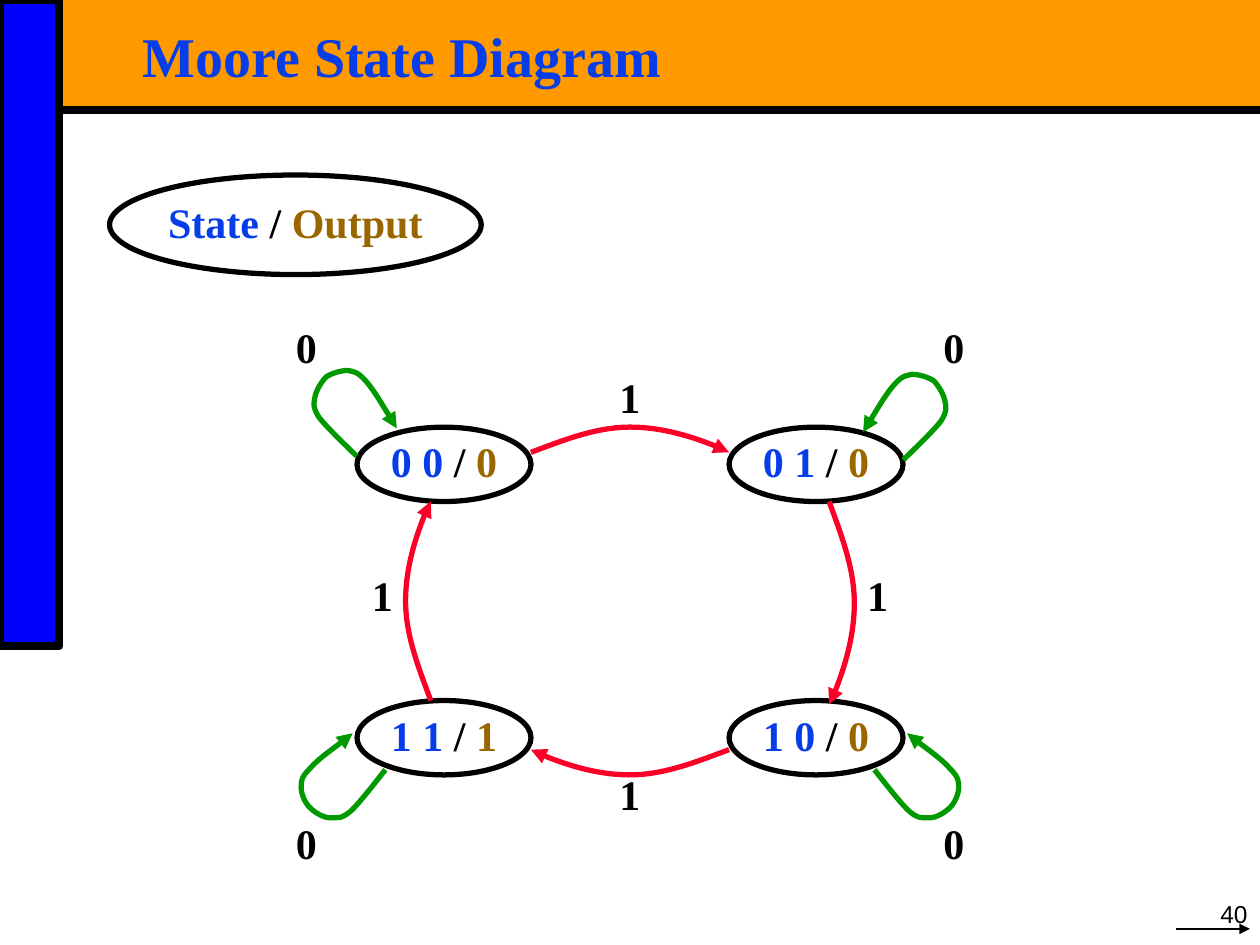
from lxml import etree
from pptx import Presentation
from pptx.dml.color import RGBColor
from pptx.enum.shapes import MSO_CONNECTOR, MSO_SHAPE
from pptx.enum.text import MSO_ANCHOR, PP_ALIGN
from pptx.oxml.ns import qn
from pptx.util import Pt

RECT, OVAL, STRAIGHT = MSO_SHAPE.RECTANGLE, MSO_SHAPE.OVAL, MSO_CONNECTOR.STRAIGHT
TOP, MIDDLE, BOTTOM = MSO_ANCHOR.TOP, MSO_ANCHOR.MIDDLE, MSO_ANCHOR.BOTTOM
LEFT, CENTER, RIGHT = PP_ALIGN.LEFT, PP_ALIGN.CENTER, PP_ALIGN.RIGHT

WIDTH, HEIGHT = 720, 540
SERIF, SANS = "Times New Roman", "Arial"
BLACK, BLUE, BROWN = "000000", "063DE8", "996600"
ORANGE, BAR_BLUE, GREEN, RED = "FF9900", "0000FF", "009900", "FC0128"

STATE_W, STATE_H = 99.4, 42.5
LABEL_W, LABEL_H = 28, 26
BULGE = 14.4
# Arc control points: share of the way along, share of the bulge
ARC = [(0, 0), (0.17, 0.5), (0.33, 1), (0.5, 1), (0.67, 1), (0.92, 0.36), (1, 0)]
# Left-hand loops, relative to the diagram; the right-hand ones mirror them
UPPER_LOOP = [(42.8, 73.6), (39.2, 70), (25.5, 57.1), (21.2, 51.3),
              (17.6, 45.6), (18.3, 43.4), (19, 39.8),
              (19.7, 36.2), (22.6, 31.2), (25.5, 28.3),
              (29.1, 26.1), (34.1, 24.7), (37.7, 24.7),
              (41.3, 25.4), (43.5, 25.4), (48.5, 31.2),
              (52.8, 36.2), (62.2, 52), (65.8, 57.8)]
LOWER_LOOP = [(59.3, 252.9), (55.7, 257.2), (44.2, 272.4), (39.2, 276.7),
              (34.1, 281), (32, 280.3), (27.6, 280.3),
              (24, 280.3), (19, 277.4), (16.1, 274.5),
              (13.2, 271.6), (11.1, 266.6), (11.1, 263),
              (11.1, 259.4), (11.1, 257.2), (16.1, 252.2),
              (21.2, 246.4), (35.6, 236.4), (40.6, 232)]


def rgb(color):
    return RGBColor.from_string(color)


def set_line(part, color, weight, arrow=False):
    part.line.color.rgb = rgb(color)
    part.line.width = Pt(weight)
    if arrow:
        etree.SubElement(part.line._get_or_add_ln(), qn("a:tailEnd"), type="triangle")


def write(part, runs, size=24, font=SERIF, bold=True, align=CENTER,
          anchor=MIDDLE, margins=(0, 0), spacing=0.9):
    frame = part.text_frame
    frame.word_wrap = True
    frame.vertical_anchor = anchor
    frame.margin_left = frame.margin_right = Pt(margins[0])
    frame.margin_top = frame.margin_bottom = Pt(margins[1])
    line = frame.paragraphs[0]
    line.alignment = align
    line.line_spacing = spacing
    for text, color in runs:
        run = line.add_run()
        run.text = text
        run.font.name, run.font.size, run.font.bold = font, Pt(size), bold
        run.font.color.rgb = rgb(color)


def add_text(slide, box, runs, **style):
    write(slide.shapes.add_textbox(*map(Pt, box)), runs, **style)


def add_plain_shape(slide, kind, box, fill=None):
    shape = slide.shapes.add_shape(kind, *map(Pt, box))
    shape.shadow.inherit = False
    if fill:
        shape.fill.solid()
        shape.fill.fore_color.rgb = rgb(fill)
    else:
        shape.fill.background()
    return shape


def add_straight(slide, start, end, weight, arrow=False):
    line = slide.shapes.add_connector(STRAIGHT, *map(Pt, (*start, *end)))
    set_line(line, BLACK, weight, arrow)
    etree.SubElement(line._element.spPr, qn("a:effectLst"))


def add_curve(slide, points, color):
    """Arrow along cubic curves: a start, then three points for each curve."""
    (x, y), *rest = [(Pt(px), Pt(py)) for px, py in points]
    builder = slide.shapes.build_freeform(x, y)
    builder.add_line_segments(rest, close=False)
    curve = builder.convert_to_shape()
    curve.shadow.inherit = False
    curve.fill.background()
    set_line(curve, color, 3, arrow=True)
    # Turn each three straight segments into one cubic curve
    outline = next(curve._element.iter(qn("a:moveTo"))).getparent()
    segments = outline.findall(qn("a:lnTo"))
    for i in range(0, len(segments), 3):
        cubic = etree.SubElement(outline, qn("a:cubicBezTo"))
        for segment in segments[i:i + 3]:
            cubic.append(segment[0])
            outline.remove(segment)


def add_state(slide, box, state, output):
    ellipse = add_plain_shape(slide, OVAL, box)
    set_line(ellipse, BLACK, 3)
    write(ellipse, [(state + " ", BLUE), ("/ ", BLACK), (output, BROWN)])


def add_transition(slide, start, end):
    """Arc that bulges to the left of its direction of travel."""
    dx, dy = end[0] - start[0], end[1] - start[1]
    length = (dx ** 2 + dy ** 2) ** 0.5
    out_x, out_y = BULGE * dy / length, -BULGE * dx / length
    points = [(start[0] + along * dx + rise * out_x,
               start[1] + along * dy + rise * out_y) for along, rise in ARC]
    add_curve(slide, points, RED)


def add_frame(slide, box):
    left, top, width, height = box
    # Title band, side bar and rule
    band = add_plain_shape(slide, RECT, (left + 34, top, width - 34, 60.5), ORANGE)
    band.line.fill.background()
    bar = add_plain_shape(slide, RECT, (left, top, 34, 369.4), BAR_BLUE)
    set_line(bar, BLACK, 4.5)
    add_straight(slide, (left + 34, top + 63), (left + width, top + 63), 4.5)
    # Title
    add_text(slide, (left + 76.5, top + 15, 623.5, 37.5), [("Moore State Diagram", BLUE)],
             size=32, align=LEFT, anchor=TOP, margins=(5, 2.5), spacing=0.87)
    # Page number over its arrow
    right, bottom = left + width, top + height
    add_text(slide, (right - 94.3, bottom - 28.8, 94.3, 23), [("40", BLACK)], size=14,
             font=SANS, bold=False, align=RIGHT, anchor=BOTTOM,
             margins=(7.2, 3.6), spacing=1)
    add_straight(slide, (right - 48, bottom - 9.2), (right - 5.8, bottom - 9.2),
                 0.75, arrow=True)


def add_diagram(slide, box):
    left, top, width, height = box

    def place(x, y):
        return left + x, top + y

    # States, clockwise from the upper left
    near, far, upper, lower = 43, width - 43 - STATE_W, 57.1, 213.3
    for x, y, state, output in [(near, upper, "0 0", "0"), (far, upper, "0 1", "0"),
                                (far, lower, "1 0", "0"), (near, lower, "1 1", "1")]:
        add_state(slide, (*place(x, y), STATE_W, STATE_H), state, output)

    # Transitions on input 1
    side = 85.2
    for start, end in [((near + STATE_W, 71.5), (far, 71.5)),
                       ((width - side, 99.6), (width - side, 215.5)),
                       ((far, 241.4), (near + STATE_W, 241.4)),
                       ((side, 213.3), (side, 99.6))]:
        add_transition(slide, place(*start), place(*end))

    # Loops on input 0
    for loop, shift in [(UPPER_LOOP, 2.2), (LOWER_LOOP, 0)]:
        add_curve(slide, [place(x, y) for x, y in loop], GREEN)
        add_curve(slide, [place(width - x, y + shift) for x, y in loop], GREEN)

    # Input labels
    outer, inner, middle = 0, 43.5, (width - LABEL_W) / 2
    for digit, x, y in [("0", outer, 0), ("0", width - LABEL_W - outer, 0),
                        ("0", outer, 283.7), ("0", width - LABEL_W - outer, 283.7),
                        ("1", inner, 141.8), ("1", width - LABEL_W - inner, 141.8),
                        ("1", middle, 28.8), ("1", middle, 255.6)]:
        add_text(slide, (*place(x, y), LABEL_W, LABEL_H), [(digit, BLACK)], anchor=TOP)


def main():
    deck = Presentation()
    deck.slide_width, deck.slide_height = Pt(WIDTH), Pt(HEIGHT)
    slide = deck.slides.add_slide(deck.slide_layouts[6])
    add_frame(slide, (0, 0, WIDTH, HEIGHT))
    # Key to the states
    add_state(slide, (62.6, 100, 212.4, 56.9), "State", "Output")
    add_diagram(slide, (161, 187, 398, 310))
    deck.save("out.pptx")


if __name__ == "__main__":
    main()
